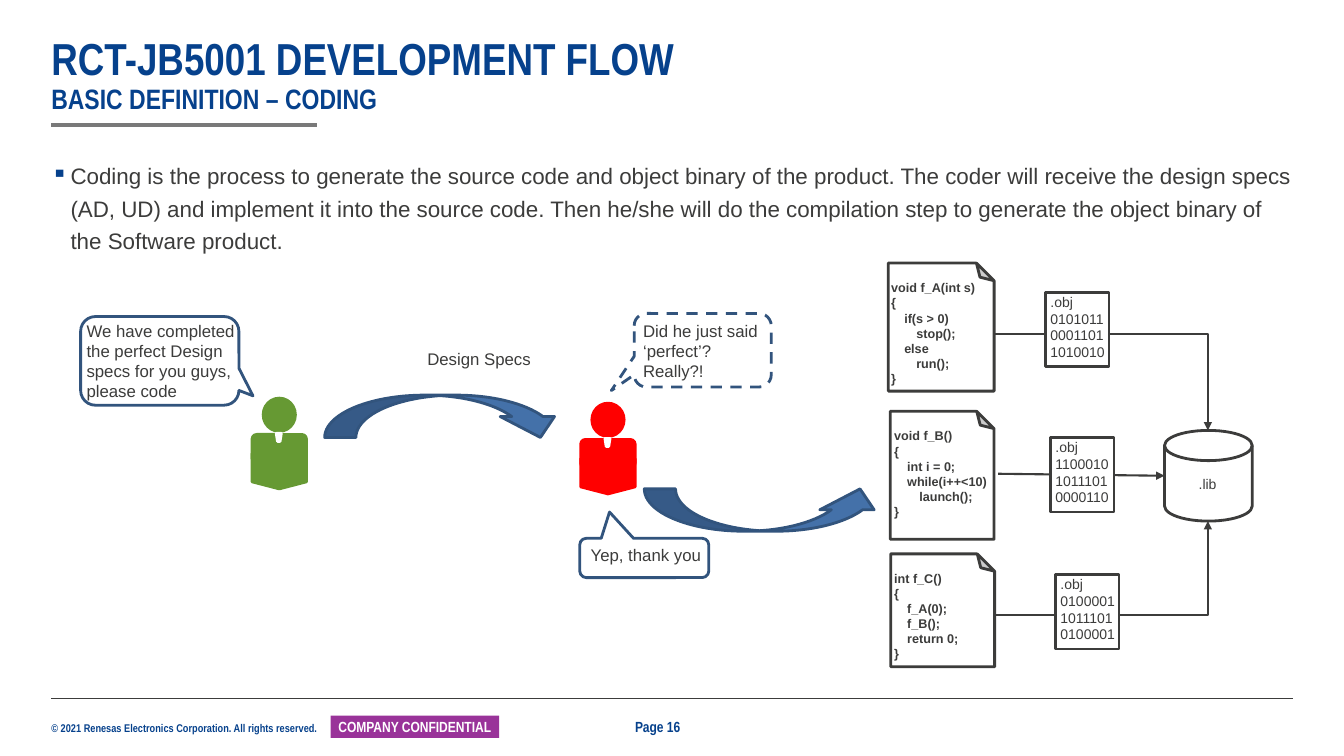
from lxml import etree
from pptx import Presentation
from pptx.dml.color import RGBColor
from pptx.enum.dml import MSO_LINE
from pptx.enum.shapes import MSO_CONNECTOR, MSO_SHAPE
from pptx.enum.text import MSO_ANCHOR, MSO_AUTO_SIZE, PP_ALIGN
from pptx.oxml.ns import qn
from pptx.util import Inches, Pt

NAVY = RGBColor(0x06, 0x41, 0x8C)
DARK = RGBColor(0x3C, 0x3C, 0x3B)
GRAY = RGBColor(0x79, 0x79, 0x79)
PURPLE = RGBColor(0x99, 0x33, 0x99)
WHITE = RGBColor(0xFF, 0xFF, 0xFF)
RED = RGBColor(0xFF, 0x00, 0x00)
GREEN = RGBColor(0x66, 0x99, 0x33)
BLUE = RGBColor(0x44, 0x71, 0xA9)
OUTLINE_BLUE = RGBColor(0x32, 0x54, 0x7D)

STRAIGHT, ELBOW = MSO_CONNECTOR.STRAIGHT, MSO_CONNECTOR.ELBOW
FIT_SHAPE = MSO_AUTO_SIZE.SHAPE_TO_FIT_TEXT
DASH = MSO_LINE.DASH

presentation = Presentation()
presentation.slide_width = Inches(13.33)
presentation.slide_height = Inches(7.5)
slide = presentation.slides.add_slide(presentation.slide_layouts[6])


def add_text(box, text, size, font="Arial", color=DARK, bold=False, wrap=False, margin=None, tabs=()):
    left, top, width, height = map(Inches, box)
    shape = slide.shapes.add_textbox(left, top, width, height)
    frame = shape.text_frame
    frame.word_wrap = wrap
    frame.auto_size = FIT_SHAPE
    if margin is not None:
        frame.margin_left = frame.margin_right = Inches(margin)
        frame.margin_top = frame.margin_bottom = 0
    frame.text = text
    for paragraph in frame.paragraphs:
        if tabs:
            tab_list = etree.SubElement(paragraph._p.get_or_add_pPr(), qn("a:tabLst"))
            for position in tabs:
                etree.SubElement(tab_list, qn("a:tab"), pos=str(Inches(position)), algn="l")
        paragraph.font.size = Pt(size)
        paragraph.font.name = font
        paragraph.font.bold = bold
        paragraph.font.color.rgb = color
    return shape


def add_figure(shapes, kind, box, fill, line, adjustments=(), flip=False):
    left, top, width, height = map(Inches, box)
    shape = shapes.add_shape(kind, left, top, width, height)
    shape.shadow.inherit = False
    if fill is None:
        shape.fill.background()
    else:
        shape.fill.solid()
        shape.fill.fore_color.rgb = fill
    shape.line.color.rgb = line
    shape.line.width = Pt(2)
    for index, value in enumerate(adjustments):
        shape.adjustments[index] = value
    if flip:
        shape.element.spPr.xfrm.set("flipV", "1")
    return shape


# Footer
add_text((0.51, 7.16, 2.73, 0.13), "© 2021 Renesas Electronics Corporation. All rights reserved.",
         8, "Arial Narrow", NAVY, True, margin=0)
label = add_figure(slide.shapes, MSO_SHAPE.RECTANGLE, (3.28, 7.1, 1.67, 0.22), PURPLE, PURPLE)
label.line.fill.background()
frame = label.text_frame
frame.margin_left = frame.margin_right = Inches(0.04)
frame.margin_top = frame.margin_bottom = 0
frame.vertical_anchor = MSO_ANCHOR.MIDDLE
frame.text = "COMPANY CONFIDENTIAL"
paragraph = frame.paragraphs[0]
paragraph.alignment = PP_ALIGN.CENTER
paragraph.font.size = Pt(10.5)
paragraph.font.name = "Arial Narrow"
paragraph.font.bold = True
paragraph.font.color.rgb = WHITE
add_text((6.2, 7.07, 0.67, 0.28), "Page 16", 10.5, "Arial Narrow", NAVY, True)

# Title
title = add_text((0.51, 0.36, 12.3, 0.79), "", 32, "Arial Narrow", NAVY, True, True, margin=0)
title.text_frame.vertical_anchor = MSO_ANCHOR.BOTTOM
paragraph = title.text_frame.paragraphs[0]
paragraph.line_spacing = 0.9
paragraph.add_run().text = "RCT-JB5001 DEVELOPMENT FLOW"
paragraph.add_line_break()
subtitle = paragraph.add_run()
subtitle.text = "BASIC DEFINITION – CODING"
subtitle.font.size = Pt(20)

# Definition
definition = add_text(
    (0.51, 1.56, 12.3, 1.52),
    "Coding is the process to generate the source code and object binary of the product. "
    "The coder will receive the design specs (AD, UD) and implement it into the source code. "
    "Then he/she will do the compilation step to generate the object binary of the Software product.",
    16, wrap=True, margin=0)
paragraph = definition.text_frame.paragraphs[0]
properties = paragraph._p.get_or_add_pPr()
properties.set("marL", str(Inches(0.19)))
properties.set("indent", str(-Inches(0.19)))
bullet_color = etree.Element(qn("a:buClr"))
etree.SubElement(bullet_color, qn("a:srgbClr"), val=str(NAVY))
properties.insert(0, bullet_color)
properties.insert(1, etree.Element(qn("a:buChar"), char="▪"))
paragraph.line_spacing = 1.2
paragraph.space_after = Pt(18)

# Rules and connectors: kind, start, end, color, width, arrow
for kind, start, end, color, width, arrow in (
    (STRAIGHT, (0.51, 6.93), (12.82, 6.93), DARK, 0.5, False),
    (STRAIGHT, (0.51, 1.24), (3.14, 1.24), GRAY, 3, False),
    (ELBOW, (9.86, 6.1), (11.98, 5.17), DARK, 1.5, True),
    (STRAIGHT, (9.9, 4.7), (11.55, 4.72), DARK, 1.5, True),
    (ELBOW, (9.86, 3.31), (11.98, 4.27), DARK, 1.5, True),
):
    connector = slide.shapes.add_connector(kind, *map(Inches, start + end))
    connector.line.color.rgb = color
    connector.line.width = Pt(width)
    shape_properties = connector.element.spPr
    if kind == ELBOW:
        shape_properties.find(qn("a:prstGeom")).set("prst", "bentConnector2")
    if arrow:
        etree.SubElement(connector.line._get_or_add_ln(), qn("a:tailEnd"), type="triangle")
    etree.SubElement(shape_properties, qn("a:effectLst"))

# Designer and coder
for left, top, color in ((2.5, 3.95, GREEN), (5.76, 4, RED)):
    person = slide.shapes.add_group_shape().shapes
    for kind, x, y, width, height, fill in (
        (MSO_SHAPE.ROUNDED_RECTANGLE, 0, 0.36, 0.54, 0.28, color),
        (MSO_SHAPE.OVAL, 0.11, 0, 0.32, 0.33, color),
        (MSO_SHAPE.FLOWCHART_OFFPAGE_CONNECTOR, 0, 0.55, 0.54, 0.35, color),
        (MSO_SHAPE.TRAPEZOID, 0.24, 0.35, 0.05, 0.08, WHITE),
    ):
        add_figure(person, kind, (left + x, top + y, width, height), fill, fill,
                   flip=kind == MSO_SHAPE.TRAPEZOID)

# Handover arrows
for left, top, flip in ((3.22, 3.92, True), (6.39, 4.85, False)):
    add_figure(slide.shapes, MSO_SHAPE.CURVED_UP_ARROW, (left, top, 2.41, 0.42),
               BLUE, OUTLINE_BLUE, (0.738, 1.284, 0.494), flip)
add_text((4.14, 3.41, 1.24, 0.3), "Design Specs", 12)

# Speech bubbles: bubble box, pointer, dash, text box, words
for bubble_box, pointer, dash, text_box, words in (
    ((0.8, 3.14, 1.57, 0.88), (0.589, 0.394), None, (0.76, 3.13, 1.88, 0.91),
     "We have completed the perfect Design specs for you guys, please code"),
    ((6.29, 3.11, 1.36, 0.73), (-0.667, 0.549), DASH, (6.28, 3.13, 1.44, 0.71),
     "Did he just said ‘perfect’?\nReally?!"),
    ((5.75, 5.34, 1.28, 0.39), (-0.269, -1.169), None, (5.76, 5.36, 1.43, 0.3), "Yep, thank you"),
):
    bubble = add_figure(slide.shapes, MSO_SHAPE.ROUNDED_RECTANGULAR_CALLOUT, bubble_box,
                        None, OUTLINE_BLUE, pointer + (0.167,))
    if dash:
        bubble.line.dash_style = dash
    add_text(text_box, words, 12, wrap=True)

# Source files: page box before rotation, text box, code
for page_box, text_box, code in (
    ((8.7, 2.72, 1.27, 1.05), (8.74, 2.73, 1.12, 1.16),
     "void f_A(int s)\n{\n\tif(s > 0)\n\t\tstop();\n\telse\n\t\trun();\n}"),
    ((8.71, 4.2, 1.27, 1.03), (8.77, 4.2, 1.13, 1.01),
     "void f_B()\n{\n\tint i = 0;\n\twhile(i++<10)\n\t\tlaunch();\n}"),
    ((8.79, 5.54, 1.12, 1.03), (8.77, 5.61, 0.84, 1.01),
     "int f_C()\n{\n\tf_A(0);\n\tf_B();\n\treturn 0;\n}"),
):
    page = add_figure(slide.shapes, MSO_SHAPE.FOLDED_CORNER, page_box, WHITE, DARK)
    page.rotation = 270
    add_text(text_box, code, 9, bold=True, tabs=(0.13, 0.25))

# Object files
for left, top, bits in (
    (10.37, 2.9, "0101011\n0001101\n1010010"),
    (10.42, 4.34, "1100010\n1011101\n0000110"),
    (10.47, 5.7, "0100001\n1011101\n0100001"),
):
    add_figure(slide.shapes, MSO_SHAPE.RECTANGLE, (left, top, 0.63, 0.74), WHITE, DARK)
    add_text((left - 0.05, top - 0.04, 0.74, 0.77), ".obj\n" + bits, 10)

# Library
add_figure(slide.shapes, MSO_SHAPE.FLOWCHART_MAGNETIC_DISK, (11.55, 4.27, 0.87, 0.9), WHITE, DARK)
add_text((11.79, 4.67, 0.38, 0.27), ".lib", 10)

presentation.save("out.pptx")
